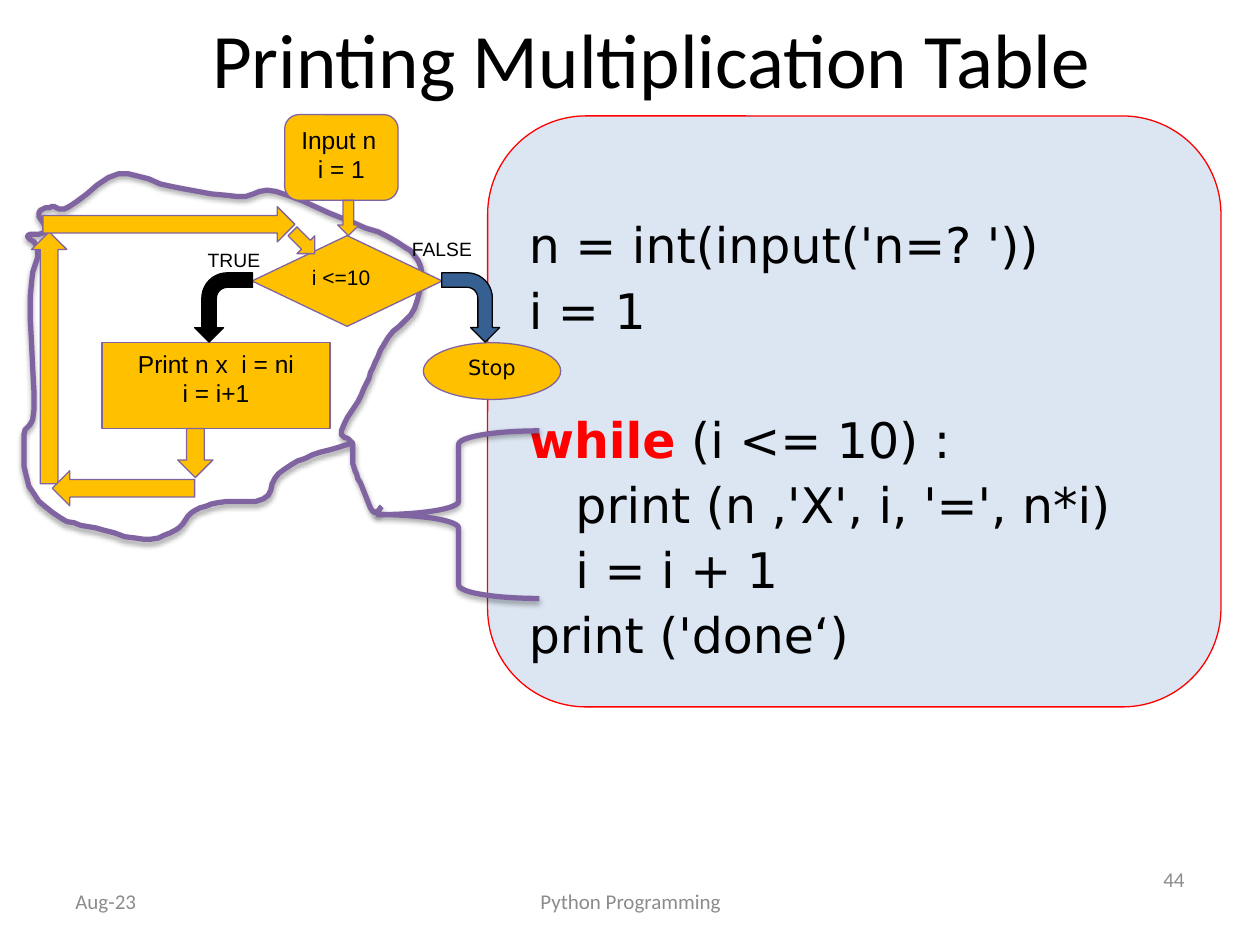
"""Build the slide on printing a multiplication table with a while loop."""
import itertools
import math
from dataclasses import dataclass
from typing import Optional

import lxml.etree
import pptx
import pptx.dml.color
import pptx.enum.shapes
import pptx.enum.text
import pptx.oxml.ns
import pptx.util

PX = 9144
KIND = pptx.enum.shapes.MSO_SHAPE
ALIGN = pptx.enum.text.PP_ALIGN
ANCHOR = pptx.enum.text.MSO_ANCHOR
Dot = tuple[int, int]
Box = tuple[int, int, int, int]


@dataclass(frozen=True)
class Theme:
    ink: str = "000000"
    gray: str = "8C8C8C"
    white: str = "FFFFFF"
    gold: str = "FFC000"
    plum: str = "8064A2"
    blue: str = "376092"
    pale: str = "DCE6F2"
    red: str = "FF0000"
    head: int = 44
    code: int = 28
    step: int = 14
    note: int = 12
    tag: int = 11
    thin: float = 0.75
    thick: int = 3
    sans: str = "Calibri"
    plain: str = "Arial"
    mono: str = "DejaVu Sans"


T = Theme()


@dataclass(frozen=True)
class Run:
    text: str
    size: int
    font: str
    color: str = T.ink
    bold: bool = False


@dataclass(frozen=True)
class Para:
    runs: tuple[Run, ...]
    align: object = ALIGN.LEFT
    space: Optional[float] = None
    indent: int = 0


@dataclass(frozen=True)
class Node:
    box: Box
    kind: object = None
    paras: tuple[Para, ...] = ()
    fill: Optional[str] = T.gold
    line: str = T.plum
    width: float = T.thin
    turn: float = 0
    flip: bool = False
    anchor: object = ANCHOR.TOP
    wrap: bool = True
    top: int = 5


def tint(text: str) -> pptx.dml.color.RGBColor:
    return pptx.dml.color.RGBColor.from_string(text)


def write(shape, node: Node) -> None:
    frame = shape.text_frame
    frame.word_wrap = node.wrap
    frame.vertical_anchor = node.anchor
    frame.margin_top = node.top * PX
    for spot, item in enumerate(node.paras):
        para = frame.add_paragraph() if spot else frame.paragraphs[0]
        para.alignment = item.align
        if item.space is not None:
            para.line_spacing = 0.9
            para.space_before = pptx.util.Pt(item.space)
        if item.indent:
            props = para._p.get_or_add_pPr()
            props.set("marL", str(item.indent * PX))
            props.set("indent", "0")
        for part in item.runs:
            run = para.add_run()
            run.text = part.text
            run.font.size = pptx.util.Pt(part.size)
            run.font.name = part.font
            run.font.bold = part.bold
            run.font.color.rgb = tint(part.color)


def paint(shape, fill: Optional[str], line: str, width: float) -> None:
    shape.shadow.inherit = False
    if fill:
        shape.fill.solid()
        shape.fill.fore_color.rgb = tint(fill)
    else:
        shape.fill.background()
    shape.line.color.rgb = tint(line)
    shape.line.width = pptx.util.Pt(width)


def shade(shape) -> None:
    name = pptx.oxml.ns.qn
    host = shape.element.spPr.find(name("a:effectLst"))
    glow = lxml.etree.SubElement(host, name("a:outerShdw"), blurRad="39370",
                                 dist="22860", dir="5400000", rotWithShape="0")
    color = lxml.etree.SubElement(glow, name("a:srgbClr"), val=T.ink)
    lxml.etree.SubElement(color, name("a:alpha"), val="35000")


def draw(shapes, node: Node):
    box = [side * PX for side in node.box]
    if node.kind is None:
        shape = shapes.add_textbox(*box)
    else:
        shape = shapes.add_shape(node.kind, *box)
        paint(shape, node.fill, node.line, node.width)
        shape.rotation = node.turn
        if node.flip:
            shape.element.spPr.xfrm.set("flipV", "1")
    if node.paras:
        write(shape, node)
    return shape


def label(text: str, size: int, font: str = T.plain, align=ALIGN.LEFT,
          color: str = T.ink, space: Optional[float] = None) -> Para:
    return Para((Run(text, size, font, color),), align, space)


def code(text: str, key: str = "", indent: int = 0, space: float = 7) -> Para:
    word = (Run(key, T.code, T.mono, T.red, True),) if key else ()
    return Para(word + (Run(text, T.code, T.mono),), ALIGN.LEFT, space, indent)


def foot(box: Box, text: str, align) -> Node:
    return Node(box, paras=(label(text, T.note, T.sans, align, T.gray),), anchor=ANCHOR.MIDDLE)


def arrow(tail: Dot, tip: Dot, wide: int = 28) -> Node:
    (x, y), (right, low) = tail, tip
    size = round(math.dist(tail, tip))
    turn = math.degrees(math.atan2(right - x, y - low)) % 360
    box = ((x + right - wide) // 2, (y + low - size) // 2, wide, size)
    return Node(box, KIND.UP_ARROW, turn=turn)


def bend(side: int, fill: str) -> Node:
    left = TEST[0] + TEST[2] // 2 + side * 98 - 27
    return Node((left, 221, 55, 46), KIND.BENT_ARROW, fill=fill, line=T.ink,
                turn=90, flip=side < 0)


def curve(dots: list[Dot], steps: int = 5) -> list[Dot]:
    """Return points on a smooth (Catmull-Rom) line through the dots."""
    ends = [dots[0], *dots, dots[-1]]
    line = [dots[0]]
    for a, b, c, d in zip(ends, ends[1:], ends[2:], ends[3:]):
        for t in (step / steps for step in range(1, steps + 1)):
            line.append(tuple(
                (2 * q + (r - p) * t + (2 * p - 5 * q + 4 * r - s) * t ** 2
                 + (3 * q - p - 3 * r + s) * t ** 3) / 2
                for p, q, r, s in zip(a, b, c, d)))
    return line


def trace(shapes, sides: dict[str, list[Dot]]) -> None:
    dots = curve(list(itertools.chain.from_iterable(sides.values())))
    pen = shapes.build_freeform(*dots[0], scale=PX)
    pen.add_line_segments(dots[1:], close=False)
    shape = pen.convert_to_shape()
    paint(shape, None, T.plum, T.thick)
    shade(shape)


TEST = (200, 187, 151, 72)
MID = ALIGN.CENTER
BACK = (
    Node((67, 0, 900, 92), paras=(label("Printing Multiplication Table", T.head, T.sans, MID),),
         anchor=ANCHOR.MIDDLE),
    foot((50, 695, 233, 40), "Aug-23", ALIGN.LEFT),
    foot((342, 695, 317, 40), "Python Programming", MID),
    foot((717, 678, 233, 40), "44", ALIGN.RIGHT),
    Node((387, 92, 582, 469), KIND.ROUNDED_RECTANGLE, fill=T.pale, line=T.red, top=61, paras=(
        code("n = int(input('n=? '))"), code("i = 1"),
        code(" (i <= 10) :", "while", space=43.5),
        code("print (n ,'X', i, '=', n*i)", indent=37), code("i = i + 1", indent=37),
        code("print ('done‘)"))))
LOOP = {
    "tail": [(303, 402), (296, 406), (286, 383), (280, 368), (280, 352)],
    "right": [(271, 342), (287, 313), (296, 292), (308, 268), (329, 245), (334, 212)],
    "top": [(315, 192), (271, 173), (219, 152), (188, 156), (136, 148), (94, 138), (55, 164)],
    "left": [(41, 164), (31, 169), (36, 184), (22, 187), (30, 199), (24, 236), (27, 325),
             (19, 345), (23, 386)],
    "base": [(48, 411), (76, 419), (114, 428), (139, 421), (152, 407), (173, 399), (209, 396),
             (221, 376), (248, 361), (279, 352)]}
FLOW = (
    Node((81, 272, 181, 68), KIND.RECTANGLE, tuple(
        label(text, T.step, align=MID) for text in ("Print n x  i = ni", "i = i+1"))),
    Node((226, 91, 90, 68), KIND.ROUNDED_RECTANGLE,
         (label("Input n", T.step), label("i = 1", T.step, align=MID))),
    arrow((277, 159), (277, 187), 17),
    Node((155, 192, 62, 29), KIND.RECTANGLE, (label("TRUE", T.tag),),
         fill=T.white, line=T.white, wrap=False),
    Node(TEST, KIND.FLOWCHART_DECISION, (label("i <=10", T.note),)),
    Node((317, 183, 69, 29), paras=(label("FALSE", T.tag),), wrap=False),
    arrow((39, 384), (39, 184)), arrow((155, 340), (155, 379)),
    arrow((232, 184), (250, 202), 20), arrow((155, 388), (42, 388)), arrow((34, 178), (234, 178)),
    Node((336, 272, 109, 45), KIND.OVAL, (label("Stop", T.note, T.mono, MID, space=3),)),
    bend(-1, T.ink), bend(1, T.blue))
BRACE = Node((300, 342, 128, 133), KIND.LEFT_BRACE, fill=None, width=T.thick)


def main() -> None:
    deck = pptx.Presentation()
    deck.slide_width, deck.slide_height = 1000 * PX, 750 * PX
    shapes = deck.slides.add_slide(deck.slide_layouts[6]).shapes
    for node in BACK:
        draw(shapes, node)
    trace(shapes, LOOP)
    for node in FLOW:
        draw(shapes, node)
    shade(draw(shapes, BRACE))
    deck.save("out.pptx")


if __name__ == "__main__":
    main()
